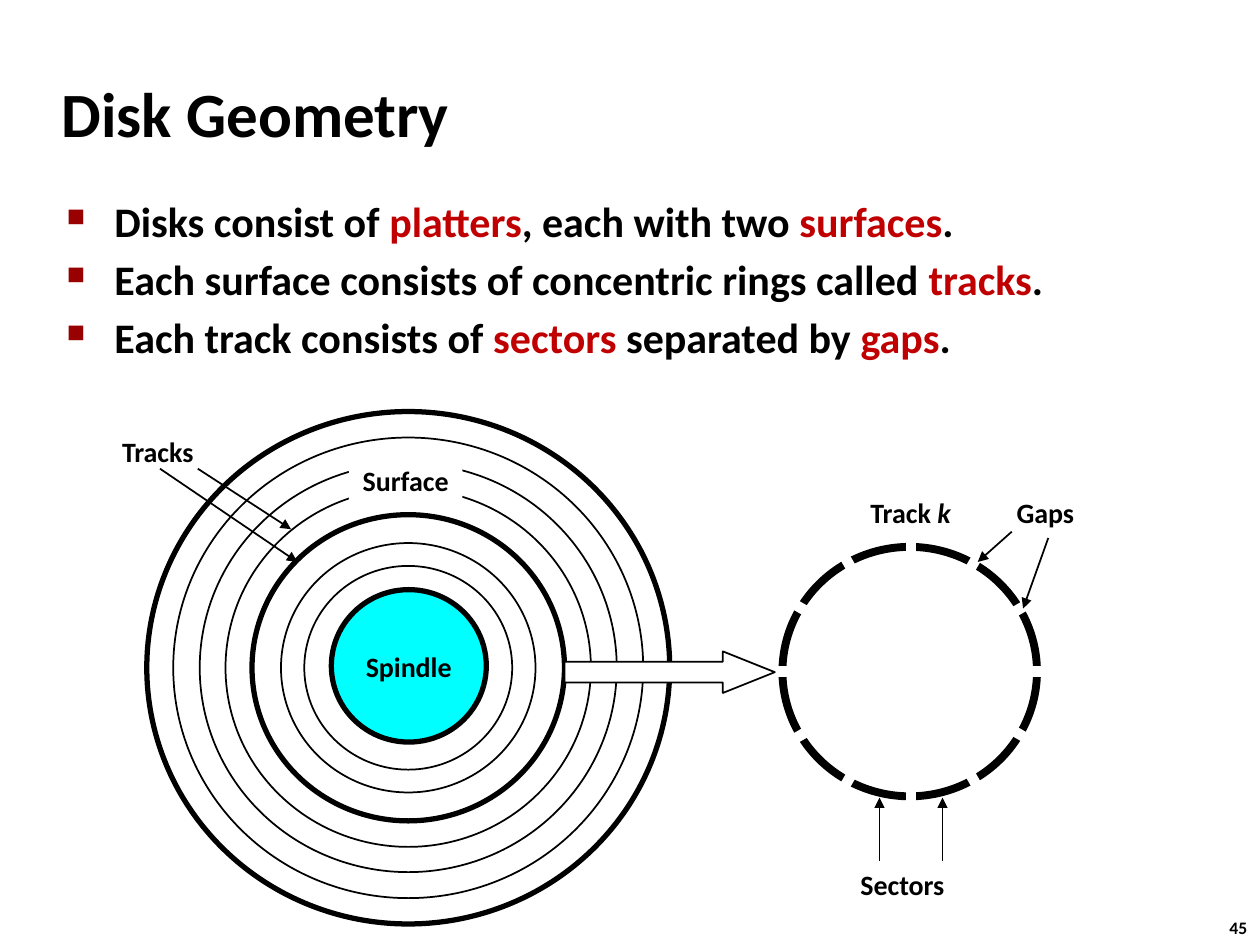
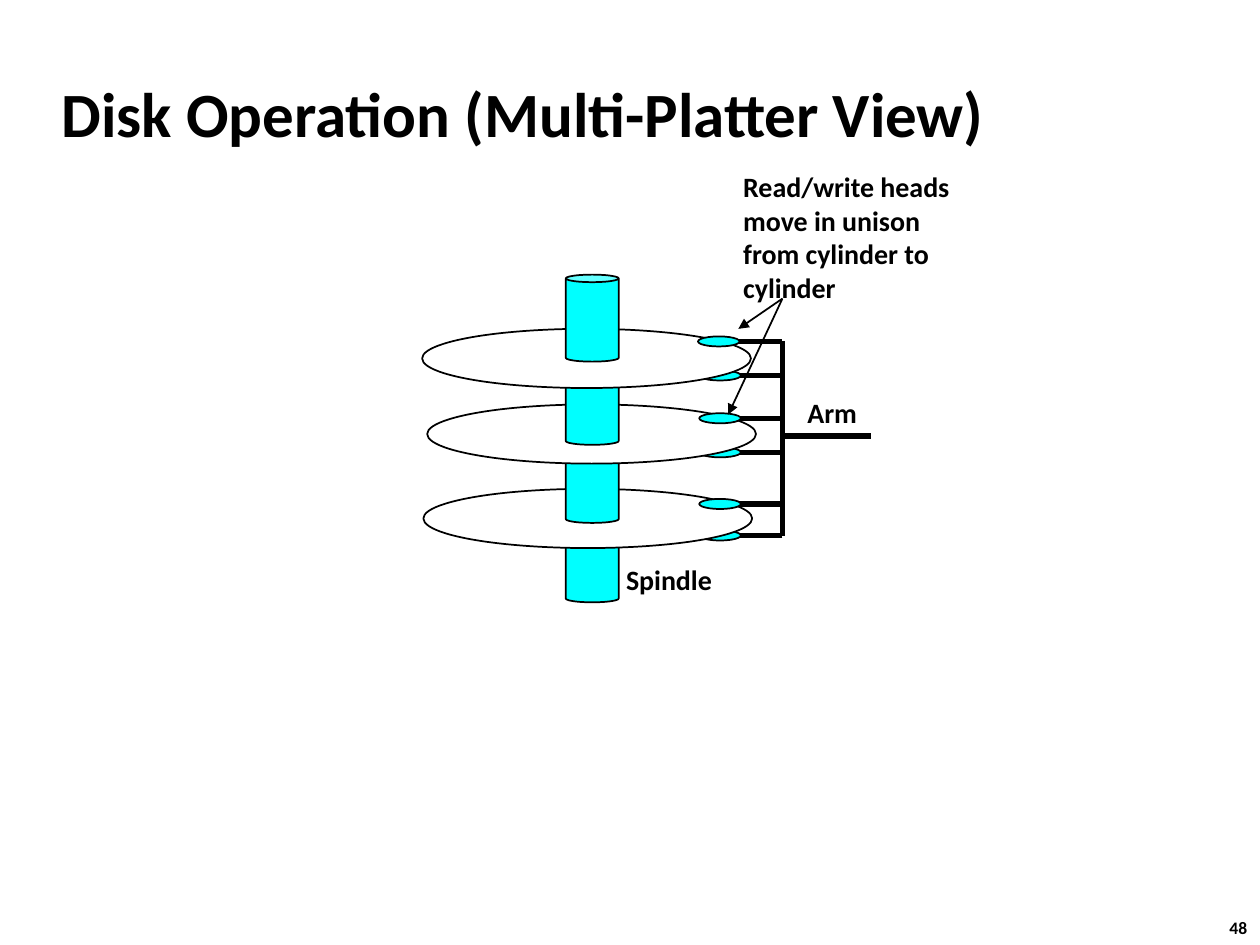
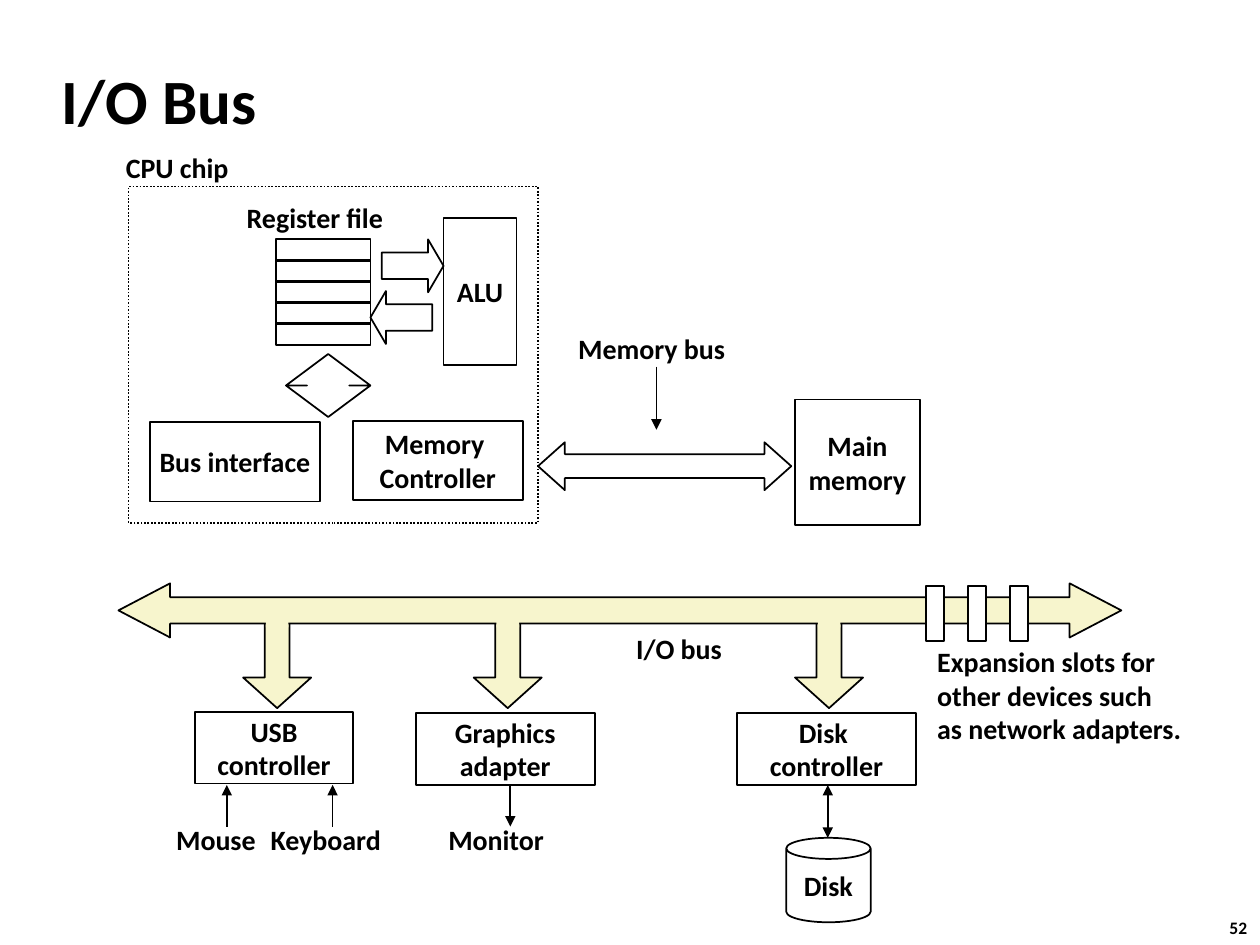
"""Build three slides on disk geometry, disk operation and the I/O bus."""
import math

import pptx
import pptx.dml.color
import pptx.enum.dml
import pptx.enum.shapes
import pptx.enum.text
import pptx.oxml
import pptx.oxml.ns
import pptx.util

Inches, Pt = pptx.util.Inches, pptx.util.Pt
MSO = pptx.enum.shapes.MSO_SHAPE
ALIGN = pptx.enum.text.PP_ALIGN
ANCHOR = pptx.enum.text.MSO_ANCHOR
rgb = pptx.dml.color.RGBColor.from_string
BLACK, WHITE, CYAN, CREAM = "000000", "FFFFFF", "00FFFF", "F7F5CD"
RED, BULLET = "C00000", "990000"
FONT = "Calibri"


def add(s, kind, x, y, w, h, text="", fill=None, line=1, adj=(), size=16):
    """Add a preset shape, or a text box when kind is None."""
    box = [Inches(v) for v in (x, y, w, h)]
    if kind is None:
        sp = s.shapes.add_textbox(*box)
        sp.text_frame.auto_size = pptx.enum.text.MSO_AUTO_SIZE.SHAPE_TO_FIT_TEXT
    else:
        sp = s.shapes.add_shape(kind, *box)
        sp.shadow.inherit = False
        for i, value in enumerate(adj):
            sp.adjustments[i] = value
        if fill:
            sp.fill.solid()
            sp.fill.fore_color.rgb = rgb(fill)
        else:
            sp.fill.background()
        if line:
            sp.line.color.rgb = rgb(BLACK)
            sp.line.width = Pt(line)
        else:
            sp.line.fill.background()
    if text:
        tf = sp.text_frame
        tf.word_wrap = False
        tf.vertical_anchor = ANCHOR.MIDDLE
        tf.text = text
        for p in tf.paragraphs:
            p.alignment = ALIGN.LEFT if kind is None else ALIGN.CENTER
            for r in p.runs:
                r.font.name, r.font.size, r.font.bold = FONT, Pt(size), True
                r.font.color.rgb = rgb(BLACK)
    return sp


def connect(s, x1, y1, x2, y2, width=1, color=BLACK, ends=()):
    """Draw a straight line with triangles at the named ends."""
    c = s.shapes.add_connector(pptx.enum.shapes.MSO_CONNECTOR.STRAIGHT,
                               Inches(x1), Inches(y1), Inches(x2), Inches(y2))
    c.line.color.rgb = rgb(color)
    c.line.width = Pt(width)
    ln = c.line._get_or_add_ln()
    for end in ends:
        ln.append(pptx.oxml.parse_xml(
            f'<a:{end} {pptx.oxml.ns.nsdecls("a")} type="triangle"/>'))
    c._element.spPr.append(pptx.oxml.parse_xml(
        f'<a:effectLst {pptx.oxml.ns.nsdecls("a")}/>'))


TAIL = ("tailEnd",)

prs = pptx.Presentation()
prs.slide_width, prs.slide_height = Inches(10), Inches(7.5)
slides = []
for title, top, number in [("Disk Geometry", 0.48, "45"),
                           ("Disk Operation (Multi-Platter View)", 0.48, "48"),
                           ("I/O Bus", 0.37, "52")]:
    s = prs.slides.add_slide(prs.slide_layouts[5])
    sp = s.shapes.title
    sp.left, sp.top, sp.width, sp.height = [Inches(v) for v in (0.39, top, 8.3, 0.83)]
    sp.text_frame.text = title
    sp.text_frame.vertical_anchor = ANCHOR.MIDDLE
    p = sp.text_frame.paragraphs[0]
    p.alignment = ALIGN.LEFT
    font = p.runs[0].font
    font.name, font.size, font.bold = FONT, Pt(36), True
    font.color.rgb = rgb(BLACK)
    add(s, None, 9.66, 7.23, 0.37, 0.27, number, size=10)
    slides.append(s)

s = slides[0]
points = [
    ["Disks consist of ", "platters", ", each with two ", "surfaces", "."],
    ["Each surface consists of concentric rings called ", "tracks", "."],
    ["Each track consists of ", "sectors ", "separated by ", "gaps", "."],
]
tf = s.shapes.add_textbox(Inches(0.43), Inches(1.5), Inches(8.64), Inches(1.5)).text_frame
tf.word_wrap = True
for i, parts in enumerate(points):
    p = tf.add_paragraph() if i else tf.paragraphs[0]
    pPr = p._p.get_or_add_pPr()
    pPr.set("marL", str(Inches(0.38)))
    pPr.set("indent", str(Inches(-0.38)))
    for tag in (f'buClr {pptx.oxml.ns.nsdecls("a")}><a:srgbClr val="{BULLET}"/></a:buClr',
                f'buSzPct {pptx.oxml.ns.nsdecls("a")} val="60000"/',
                f'buChar {pptx.oxml.ns.nsdecls("a")} char="■"/'):
        pPr.append(pptx.oxml.parse_xml(f"<a:{tag}>"))
    if i:
        p.space_before = Pt(4.5)
    for j, part in enumerate(parts):
        r = p.add_run()
        r.text = part
        r.font.name, r.font.size, r.font.bold = FONT, Pt(24), True
        r.font.color.rgb = rgb(RED if j % 2 else BLACK)

for d, width in [(4.15, 3), (3.73, 1), (3.31, 1), (2.9, 1), (2.48, 3), (2.02, 1), (1.65, 1)]:
    h = d * 0.98
    add(s, MSO.OVAL, 3.24 - d / 2, 5.3 - h / 2, d, h, line=width)
add(s, MSO.OVAL, 2.63, 4.68, 1.23, 1.21, "Spindle", CYAN, 3)
add(s, MSO.RECTANGLE, 2.77, 3.63, 0.9, 0.37, "Surface", WHITE, None)

add(s, MSO.OVAL, 6.21, 4.34, 2.02, 1.98, line=4.5)
for step in range(12):
    angle = math.radians(30 * step)
    connect(s, 7.23, 5.33, 7.23 + 1.15 * math.cos(angle), 5.33 + 1.15 * math.sin(angle),
            6, WHITE)
add(s, MSO.RIGHT_ARROW, 4.48, 5.17, 1.67, 0.33, fill=WHITE, adj=(0.5, 1.25))

for x, y, w, text in [(0.87, 3.4, 0.79, "Tracks"), (6.73, 6.83, 0.88, "Sectors"),
                      (7.97, 3.88, 0.66, "Gaps")]:
    add(s, None, x, y, w, 0.37, text)
p = add(s, None, 6.81, 3.88, 0.87, 0.37, "Track ").text_frame.paragraphs[0]
r = p.add_run()
r.text = "k"
r.font.name, r.font.size, r.font.bold, r.font.italic = FONT, Pt(16), True, True
r.font.color.rgb = rgb(BLACK)
for ends in [(1.27, 3.72, 2.36, 4.46), (1.57, 3.72, 2.31, 4.2), (6.98, 6.83, 6.98, 6.33),
             (7.48, 6.83, 7.48, 6.33), (8.03, 4.22, 7.76, 4.46), (8.32, 4.27, 8.12, 4.83)]:
    connect(s, *ends, ends=TAIL)

s = slides[1]
arm_x = 6.21
for y in (2.98, 3.59, 4.25):
    connect(s, arm_x, y, 5.71, y, 3)
    add(s, MSO.OVAL, 5.55, y - 0.04, 0.33, 0.08, fill=CYAN)
add(s, MSO.CAN, 4.49, 4.09, 0.42, 0.69, fill=CYAN, adj=(0.142,))
for x, y, spindle_y in [(3.36, 3.88, 3.46), (3.39, 3.21, 2.84), (3.35, 2.61, 2.18)]:
    add(s, MSO.OVAL, x, y, 2.61, 0.47, fill=WHITE)
    add(s, MSO.CAN, 4.49, spindle_y, 0.42, 0.69, fill=CYAN, adj=(0.142,))
for x, y in [(5.54, 2.71), (5.55, 3.32), (5.55, 4)]:
    connect(s, arm_x, y, 5.71, y, 3)
    add(s, MSO.OVAL, x, y - 0.04, 0.33, 0.08, fill=CYAN)
connect(s, arm_x, 2.71, arm_x, 4.25, 3)
connect(s, arm_x, 3.46, 6.91, 3.46, 3)
add(s, None, 6.31, 3.09, 0.61, 0.37, "Arm")
add(s, None, 4.87, 4.41, 0.89, 0.37, "Spindle")
sp = add(s, None, 5.8, 1.29, 2.41, 1.18,
         "Read/write heads\nmove in unison\nfrom cylinder to cylinder")
sp.text_frame.word_wrap = True
for x, y in [(5.86, 2.61), (5.78, 3.29)]:
    connect(s, arm_x, 2.37, x, y, ends=TAIL)

s = slides[2]
sp = add(s, MSO.RECTANGLE, 1.02, 1.48, 3.25, 2.67)
sp.line.dash_style = pptx.enum.dml.MSO_LINE.ROUND_DOT
for row in range(5):
    add(s, MSO.RECTANGLE, 2.19, 1.9 + row / 6, 0.75, 0.17)
add(s, MSO.RIGHT_ARROW, 3.03, 1.9, 0.49, 0.42, adj=(0.5, 0.292))
add(s, MSO.LEFT_ARROW, 2.94, 2.31, 0.49, 0.42, adj=(0.5, 0.292))
add(s, MSO.UP_DOWN_ARROW, 2.27, 2.81, 0.67, 0.5, adj=(0.2, 0.5))
add(s, MSO.LEFT_RIGHT_ARROW, 4.27, 3.51, 2.01, 0.38, adj=(0.5, 0.56))

bus_taps = (2.2, 4.03, 6.58)
for x in bus_taps:
    add(s, MSO.DOWN_ARROW, x - 0.27, 4.87, 0.54, 0.75, fill=CREAM, adj=(0.367, 0.449))
add(s, MSO.LEFT_RIGHT_ARROW, 0.94, 4.63, 7.96, 0.43, fill=CREAM, adj=(0.486, 0.955))
for x in bus_taps:
    add(s, MSO.RECTANGLE, x - 0.09, 4.81, 0.18, 0.17, fill=CREAM, line=None)
for slot in range(3):
    add(s, MSO.RECTANGLE, 7.35 + slot / 3, 4.65, 0.14, 0.44, fill=WHITE)

for x, y, w, h, text in [(1.19, 3.35, 1.35, 0.63, "Bus interface"),
                         (2.8, 3.34, 1.35, 0.63, "Memory \vController"),
                         (3.52, 1.73, 0.58, 1.17, "ALU"),
                         (6.31, 3.17, 0.99, 1, "Main\nmemory"),
                         (1.55, 5.65, 1.25, 0.57, "USB\ncontroller"),
                         (3.3, 5.66, 1.42, 0.57, "Graphics\nadapter"),
                         (5.85, 5.66, 1.42, 0.57, "Disk \ncontroller")]:
    add(s, MSO.RECTANGLE, x, y, w, h, text)
add(s, MSO.CAN, 6.24, 6.65, 0.67, 0.67, "Disk", adj=(0.25,))

for x, y, w, text in [(0.9, 1.14, 1.03, "CPU chip"), (1.86, 1.54, 1.3, "Register file"),
                      (4.49, 2.58, 1.38, "Memory bus"), (4.95, 4.96, 0.89, "I/O bus"),
                      (1.3, 6.48, 0.84, "Mouse"), (2.05, 6.48, 1.09, "Keyboard"),
                      (3.46, 6.48, 0.97, "Monitor")]:
    add(s, None, x, y, w, 0.37, text)
add(s, None, 7.34, 5.06, 2.16, 0.91,
    "Expansion slots for\nother devices such\nas network adapters.")

for x, y1, y2 in [(5.21, 2.91, 3.41), (1.8, 6.56, 6.23), (2.64, 6.56, 6.23),
                  (4.05, 6.23, 6.56)]:
    connect(s, x, y1, x, y2, ends=TAIL)
connect(s, 6.57, 6.23, 6.57, 6.65, ends=("headEnd", "tailEnd"))

prs.save("out.pptx")
